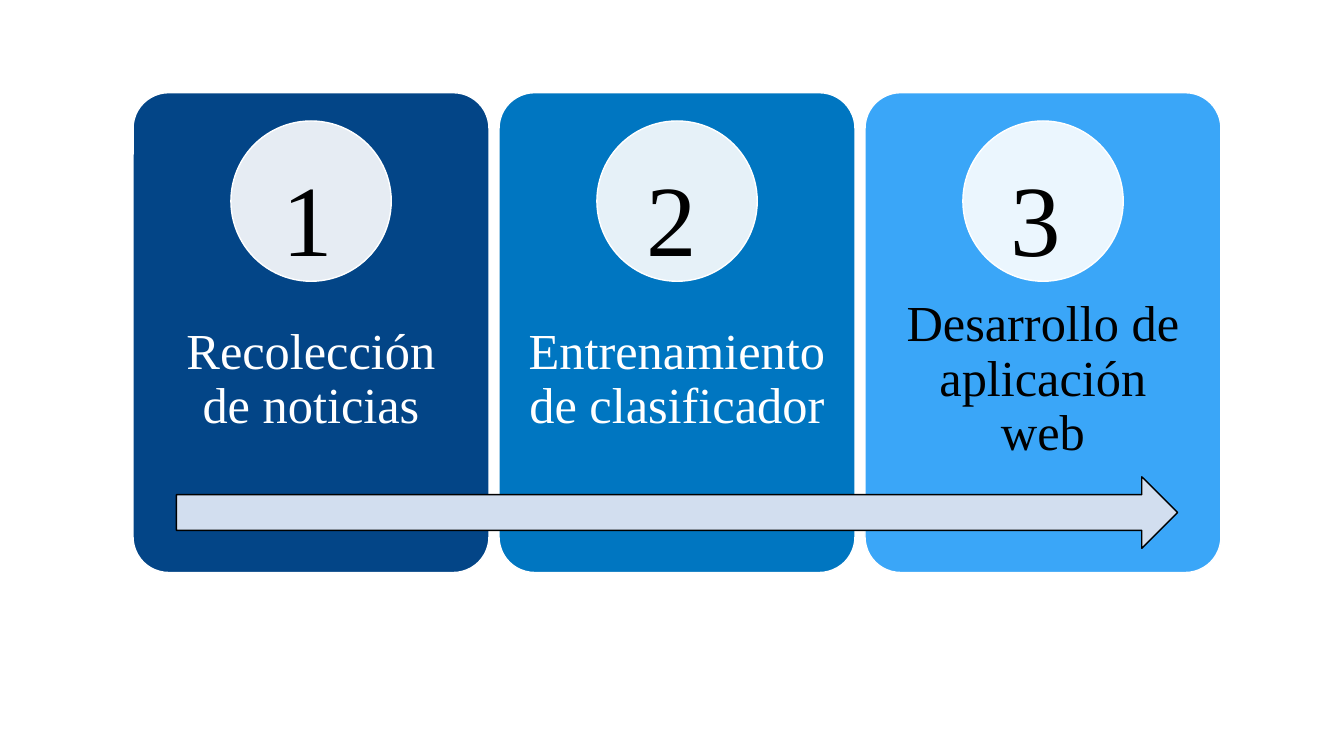
from lxml import etree
from pptx import Presentation
from pptx import util as u
from pptx.dml.color import RGBColor
from pptx.enum import shapes, text
from pptx.oxml import ns

WHITE = RGBColor(0xFF, 0xFF, 0xFF)
BLACK = RGBColor(0, 0, 0)
NAVY = RGBColor(0x03, 0x45, 0x87)
BLUE = RGBColor(0x00, 0x76, 0xC1)
SKY = RGBColor(0x3A, 0xA6, 0xF8)
PALE = RGBColor(0xD2, 0xDE, 0xEF)

STEPS = [
    ("Recolección de noticias", NAVY, WHITE),
    ("Entrenamiento de clasificador", BLUE, WHITE),
    ("Desarrollo de aplicación web", SKY, BLACK),
]
CARD_LEFT, CARD_PITCH = 1.32, 3.63
NUMBER_LEFT, NUMBER_PITCH = 2.16, 3.61


class StepSlide:
    """Draws the elements of a numbered process on one slide."""

    font = "Times New Roman"

    def __init__(self, prs):
        self.s = prs.slides.add_slide(prs.slide_layouts[6])

    def shape(self, kind, box, fill=None, line=None, alpha=None):
        sp = self.s.shapes.add_shape(kind, *map(u.Inches, box))
        sp.shadow.inherit = False
        if fill is None:
            sp.fill.background()
        else:
            sp.fill.solid()
            sp.fill.fore_color.rgb = fill
        if line is None:
            sp.line.fill.background()
        else:
            sp.line.color.rgb = line
            sp.line.width = u.Pt(1)
        if alpha is not None:
            color = sp.element.spPr.find(ns.qn("a:solidFill")).find(ns.qn("a:srgbClr"))
            etree.SubElement(color, ns.qn("a:alpha"), val=str(alpha * 1000))
        return sp

    def label(self, sp, words, size, color, spacing, frame):
        tf = sp.text_frame
        for name, value in frame.items():
            setattr(tf, name, value)
        p = tf.paragraphs[0]
        p.alignment = text.PP_ALIGN.CENTER
        p.line_spacing = spacing
        r = p.add_run()
        r.text = words
        for name, value in {"name": self.font, "size": u.Pt(size)}.items():
            setattr(r.font, name, value)
        r.font.color.rgb = color

    def card(self, left, words, fill, color):
        sp = self.shape(shapes.MSO_SHAPE.ROUNDED_RECTANGLE, (left, 0.92, 3.53, 4.76), fill, WHITE)
        sp.adjustments[0] = 0.1
        title = self.s.shapes.add_textbox(*map(u.Inches, (left, 2.82, 3.53, 1.9)))
        frame = {f"margin_{side}": u.Inches(0.28) for side in ("left", "right", "top", "bottom")}
        frame.update(word_wrap=True, vertical_anchor=text.MSO_ANCHOR.MIDDLE)
        self.label(title, words, 36, color, 0.9, frame)
        self.shape(shapes.MSO_SHAPE.OVAL, (left + 0.97, 1.2, 1.59, 1.59), WHITE, WHITE, alpha=90)

    def arrow(self, box):
        self.shape(shapes.MSO_SHAPE.RIGHT_ARROW, box, PALE, BLACK)

    def number(self, left, value):
        sp = self.shape(shapes.MSO_SHAPE.OVAL, (left, 1.09, 1.79, 1.85))
        frame = {
            "word_wrap": True,
            "vertical_anchor": text.MSO_ANCHOR.TOP,
            "margin_top": u.Inches(0.18),
            "margin_bottom": 0,
        }
        self.label(sp, str(value), 72, BLACK, 1.0, frame)


def main():
    prs = Presentation()
    prs.slide_width, prs.slide_height = u.Inches(13.33), u.Inches(7.5)
    slide = StepSlide(prs)
    for i, (words, fill, color) in enumerate(STEPS):
        slide.card(CARD_LEFT + i * CARD_PITCH, words, fill, color)
    slide.arrow((1.75, 4.73, 9.93, 0.71))
    for i in range(len(STEPS)):
        slide.number(NUMBER_LEFT + i * NUMBER_PITCH, i + 1)
    prs.save("out.pptx")


if __name__ == "__main__":
    main()
